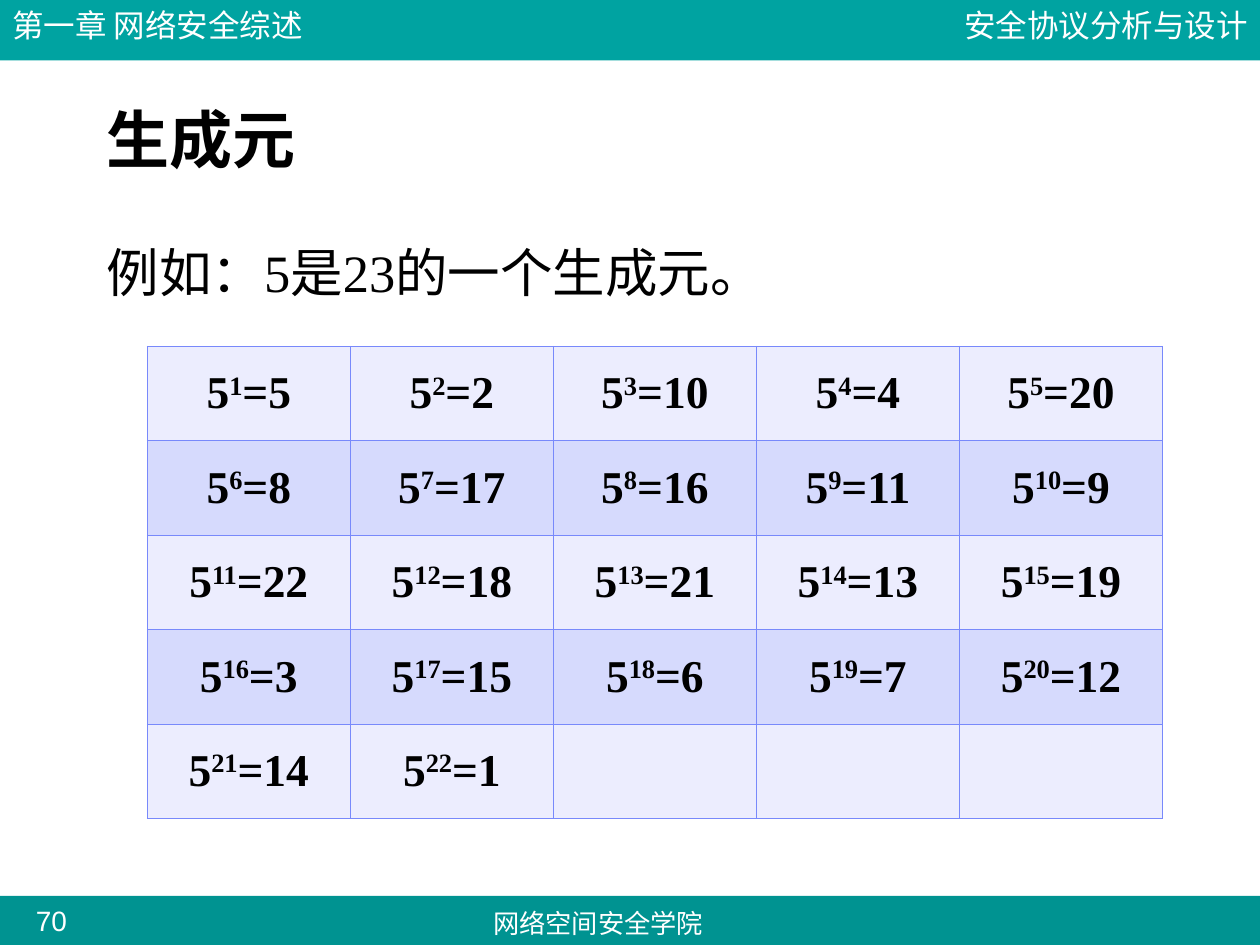
from lxml import etree
from pptx import Presentation, util as u
from pptx.dml.color import RGBColor
from pptx.enum import shapes, text
from pptx.oxml.ns import qn

BASE, PRIME, COLS = 5, 23, 5
TITLE = "生成元"
BODY = f"例如：{BASE}是{PRIME}的一个生成元。"
POWERS = [(k, pow(BASE, k, PRIME)) for k in range(1, PRIME)]

THEME = {
    "head": "00A3A1", "foot": "009391", "light": "FFFFFF", "ink": "000000",
    "rows": ("ECEDFE", "D6DAFD"), "grid": "7889FB", "rule": 0.45,
    "sans": "Arial", "serif": "Times New Roman",
    "chapter": 18, "school": 15, "page": 16, "title": 36, "body": 30, "cell": 26,
}
LEFT, MID, RIGHT = text.PP_ALIGN.LEFT, text.PP_ALIGN.CENTER, text.PP_ALIGN.RIGHT
PAD, FLAT = (0.25, 0.13), (0, 0)

# Positions in cm: left, top, width, height
BARS = [("foot", (0, 18.06, 25.4, 1.07)), ("head", (0, 0, 25.4, 1.22))]
EDGE = [  # words, size, box, alignment, insets
    ("安全协议分析与设计", "chapter", (17.58, 0, 7.82, 1.02), RIGHT, PAD),
    ("网络空间安全学院", "school", (9.09, 18.16, 5.94, 0.89), MID, PAD),
    ("70", "page", (0.36, 18.21, 1.35, 0.69), MID, FLAT),
    ("第一章 网络安全综述", "chapter", (0, 0, 7.82, 1.02), LEFT, PAD),
]
MAIN = [  # words, size, box, bold, line spacing, anchor
    (TITLE, "title", (1.9, 2.03, 22.91, 1.7), True, 0.9, text.MSO_ANCHOR.MIDDLE),
    (BODY, "body", (1.9, 4.45, 22.38, 8.43), False, 1.2, text.MSO_ANCHOR.TOP),
]
GRID = (2.97, 6.98, 20.47, 9.52)


def cm(box):
    return [u.Cm(v) for v in box]


def assign(obj, vals):
    for key, val in vals.items():
        setattr(obj, key, val)


def style(run, size, face, color, bold=False):
    assign(run.font, {"size": u.Pt(THEME[size]), "name": THEME[face], "bold": bold})
    run.font.color.rgb = RGBColor.from_string(THEME[color])


def paint(fill, color):
    fill.solid()
    fill.fore_color.rgb = RGBColor.from_string(color)


def add_bar(slide, color, box):
    bar = slide.shapes.add_shape(shapes.MSO_SHAPE.RECTANGLE, *cm(box))
    bar.shadow.inherit = False
    paint(bar.fill, THEME[color])
    bar.line.fill.background()


def add_text(slide, words, size, box, face, color, align=LEFT, pad=PAD,
             bold=False, space=1.0, anchor=text.MSO_ANCHOR.TOP):
    frame = slide.shapes.add_textbox(*cm(box)).text_frame
    side, end = cm(pad)
    assign(frame, {"word_wrap": True, "vertical_anchor": anchor,
                   "margin_left": side, "margin_right": side,
                   "margin_top": end, "margin_bottom": end})
    para = frame.paragraphs[0]
    assign(para, {"alignment": align, "line_spacing": space})
    run = para.add_run()
    run.text = words
    style(run, size, face, color, bold)


def add_rules(cell):
    """Draw all four borders; call before the cell gets its fill."""
    props = cell._tc.get_or_add_tcPr()
    for side in ("lnL", "lnR", "lnT", "lnB"):
        line = etree.SubElement(props, qn(f"a:{side}"), w=str(u.Pt(THEME["rule"])))
        fill = etree.SubElement(line, qn("a:solidFill"))
        etree.SubElement(fill, qn("a:srgbClr"), val=THEME["grid"])


def add_power(cell, k, rest):
    para = cell.text_frame.paragraphs[0]
    para.alignment = MID
    for words, base in ((BASE, 0), (k, 30000), (f"={rest}", 0)):
        run = para.add_run()
        run.text = str(words)
        style(run, "cell", "serif", "ink", True)
        if base:
            run._r.get_or_add_rPr().set("baseline", str(base))


def add_grid(slide):
    rows = -(-len(POWERS) // COLS)
    table = slide.shapes.add_table(rows, COLS, *cm(GRID)).table
    assign(table, {"first_row": False, "horz_banding": False})
    for col in table.columns:
        col.width = u.Cm(GRID[2] / COLS)
    for row in table.rows:
        row.height = u.Cm(GRID[3] / rows)
    for i, cell in enumerate(table.iter_cells()):
        cell.vertical_anchor = text.MSO_ANCHOR.MIDDLE
        add_rules(cell)
        paint(cell.fill, THEME["rows"][i // COLS % 2])
        if i < len(POWERS):
            add_power(cell, *POWERS[i])


def main():
    deck = Presentation()
    assign(deck, {"slide_width": u.Cm(25.4), "slide_height": u.Cm(19.05)})
    slide = deck.slides.add_slide(deck.slide_layouts[6])
    for color, box in BARS:
        add_bar(slide, color, box)
    for words, size, box, align, pad in EDGE:
        add_text(slide, words, size, box, "sans", "light", align, pad)
    for words, size, box, bold, space, anchor in MAIN:
        add_text(slide, words, size, box, "serif", "ink",
                 bold=bold, space=space, anchor=anchor)
    add_grid(slide)
    deck.save("out.pptx")


if __name__ == "__main__":
    main()
